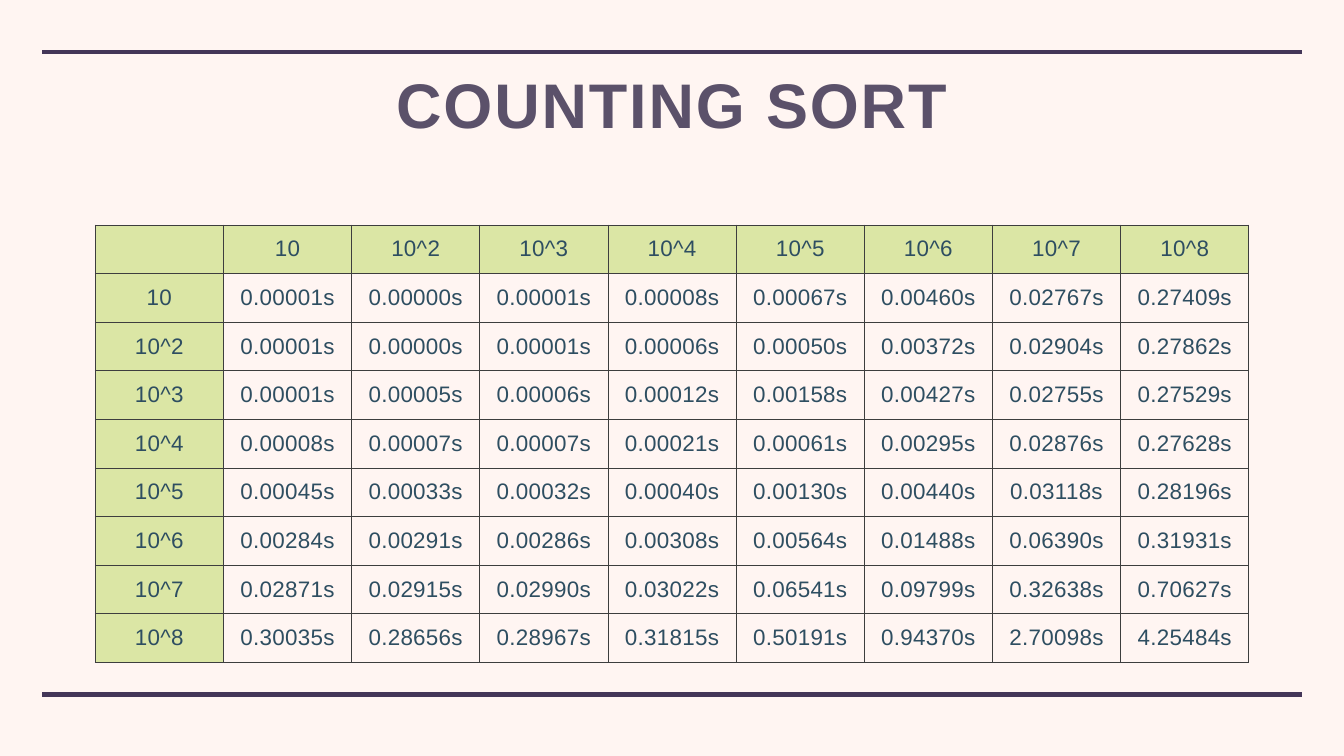
import pptx
import pptx.dml.color
import pptx.enum.shapes
import pptx.enum.text
import pptx.oxml
import pptx.oxml.ns
import pptx.util
from pptx.util import Cm

COLORS = {
    "page": "FFF5F2",
    "rule": "443658",
    "title": "5B516A",
    "text": "2E4E61",
    "header": "DBE6A5",
    "border": "3D3E3E",
}
FONT = "Arial"
INSET = Cm(0.15)
COLUMN_WIDTH = Cm(6.46)
ROW_HEIGHT = Cm(2.45)

LABELS = ["10"] + [f"10^{power}" for power in range(2, 9)]
TIMES = """
0.00001s 0.00000s 0.00001s 0.00008s 0.00067s 0.00460s 0.02767s 0.27409s
0.00001s 0.00000s 0.00001s 0.00006s 0.00050s 0.00372s 0.02904s 0.27862s
0.00001s 0.00005s 0.00006s 0.00012s 0.00158s 0.00427s 0.02755s 0.27529s
0.00008s 0.00007s 0.00007s 0.00021s 0.00061s 0.00295s 0.02876s 0.27628s
0.00045s 0.00033s 0.00032s 0.00040s 0.00130s 0.00440s 0.03118s 0.28196s
0.00284s 0.00291s 0.00286s 0.00308s 0.00564s 0.01488s 0.06390s 0.31931s
0.02871s 0.02915s 0.02990s 0.03022s 0.06541s 0.09799s 0.32638s 0.70627s
0.30035s 0.28656s 0.28967s 0.31815s 0.50191s 0.94370s 2.70098s 4.25484s
"""


def color(name):
    return pptx.dml.color.RGBColor.from_string(COLORS[name])


def write_text(frame, text, *, size, fill, bold=False, tracking=0, line_spacing=None):
    """Put one centred paragraph in the frame; tracking is in points."""
    para = frame.paragraphs[0]
    para.alignment = pptx.enum.text.PP_ALIGN.CENTER
    para.line_spacing = line_spacing
    span = para.add_run()
    span.text = text
    span.font.name = FONT
    span.font.size = pptx.util.Pt(size)
    span.font.bold = bold
    span.font.color.rgb = color(fill)
    span.font._element.set("spc", str(round(tracking * 100)))


def add_rule(page, y):
    rule = page.shapes.add_connector(
        pptx.enum.shapes.MSO_CONNECTOR.STRAIGHT, Cm(2.12), y, Cm(65.61), y)
    rule.line.color.rgb = color("rule")
    rule.line.width = pptx.util.Pt(6)
    rule._element.spPr.append(pptx.oxml.parse_xml(
        f"<a:effectLst {pptx.oxml.ns.nsdecls('a')}/>"))


def add_title(page, text):
    box = page.shapes.add_textbox(Cm(5.79), Cm(3.56), Cm(56.13), Cm(4.57))
    frame = box.text_frame
    frame.word_wrap = True
    frame.margin_left = frame.margin_right = INSET
    frame.margin_top = frame.margin_bottom = INSET
    write_text(frame, text, size=90, fill="title", bold=True, tracking=2.7,
               line_spacing=0.9)


def set_borders(cell, right=1, bottom=1):
    """Line all four sides; right and bottom widths are in points."""
    properties = cell._tc.get_or_add_tcPr()
    for side, points in {"L": 1, "R": right, "T": 1, "B": bottom}.items():
        properties.append(pptx.oxml.parse_xml(
            f'<a:ln{side} {pptx.oxml.ns.nsdecls("a")} w="{pptx.util.Pt(points)}">'
            f'<a:solidFill><a:srgbClr val="{COLORS["border"]}"/></a:solidFill>'
            f'</a:ln{side}>'))


def format_cell(cell, text, in_header_row, in_header_column):
    cell.margin_left = cell.margin_right = INSET
    cell.margin_top = cell.margin_bottom = INSET
    cell.vertical_anchor = pptx.enum.text.MSO_ANCHOR.MIDDLE
    set_borders(cell,
                right=2 if in_header_column and not in_header_row else 1,
                bottom=2 if in_header_row else 1)
    if in_header_row or in_header_column:
        cell.fill.solid()
        cell.fill.fore_color.rgb = color("header")
    else:
        cell.fill.background()
    if text:
        write_text(cell.text_frame, text, size=32, fill="text", tracking=0.4)


def add_timing_table(page, rows):
    row_count, column_count = len(rows), len(rows[0])
    table = page.shapes.add_table(
        row_count, column_count, Cm(4.8), Cm(11.33),
        COLUMN_WIDTH * column_count, ROW_HEIGHT * row_count).table
    table.first_row = False
    table.horz_banding = False
    for column in table.columns:
        column.width = COLUMN_WIDTH
    for row in table.rows:
        row.height = ROW_HEIGHT
    for r, values in enumerate(rows):
        for c, text in enumerate(values):
            format_cell(table.cell(r, c), text, r == 0, c == 0)


def main():
    deck = pptx.Presentation()
    deck.slide_width, deck.slide_height = Cm(67.74), Cm(38.1)
    page = deck.slides.add_slide(deck.slide_layouts[6])
    page.background.fill.solid()
    page.background.fill.fore_color.rgb = color("page")

    for y in (Cm(2.64), Cm(35)):
        add_rule(page, y)
    add_title(page, "COUNTING SORT")
    times = [line.split() for line in TIMES.strip().splitlines()]
    add_timing_table(page, [["", *LABELS]] + [
        [label, *values] for label, values in zip(LABELS, times)])
    deck.save("out.pptx")


if __name__ == "__main__":
    main()
